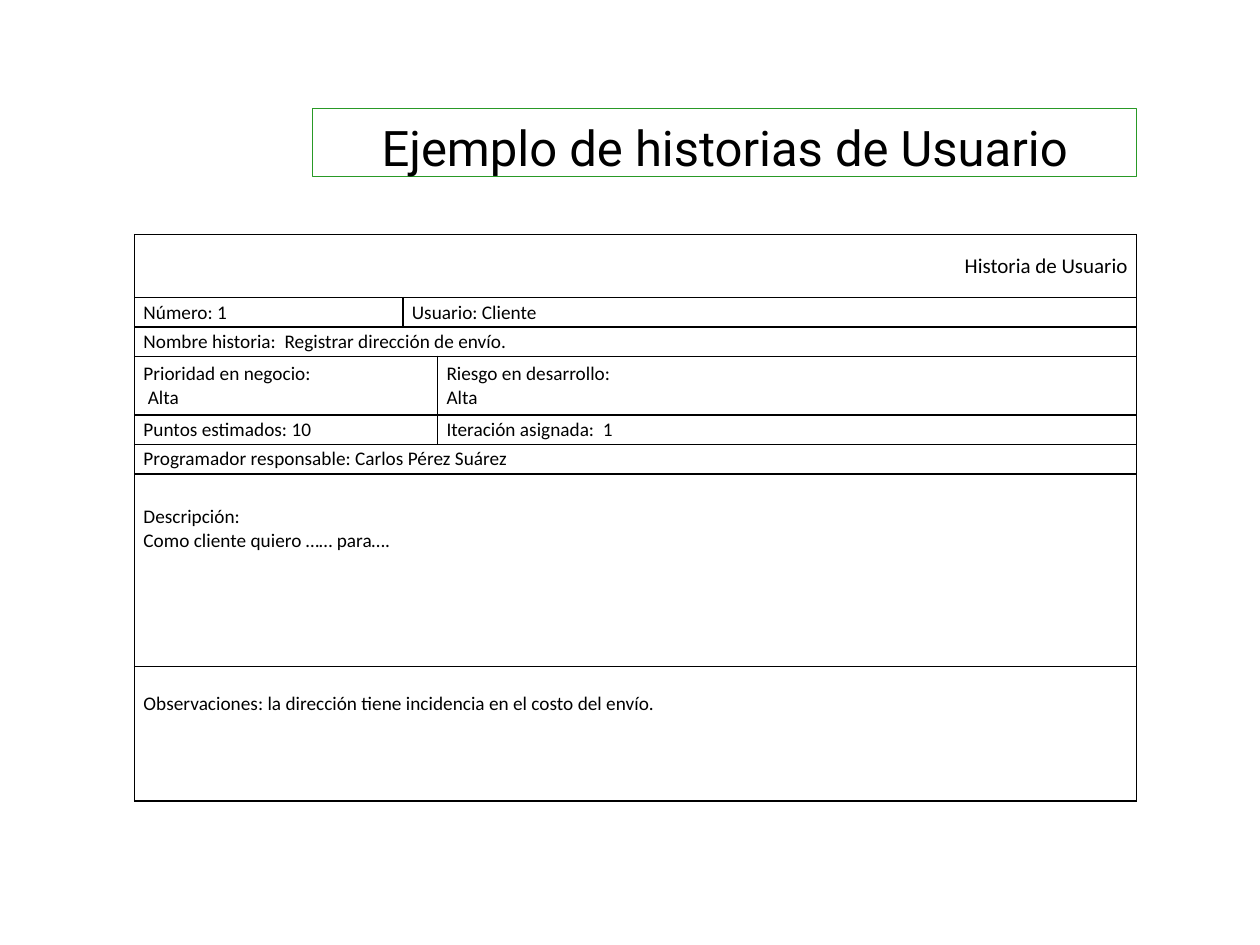
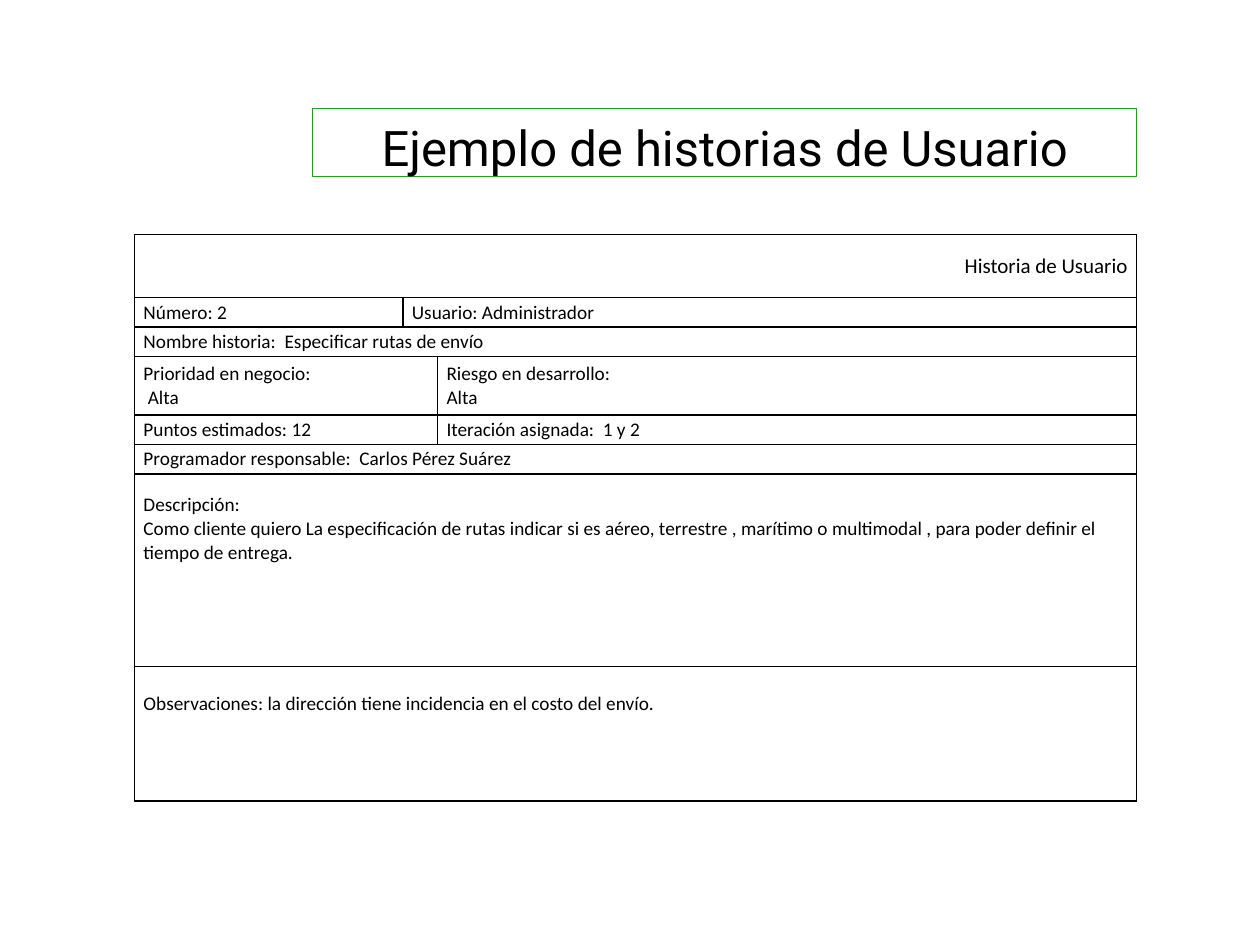
from dataclasses import dataclass

from lxml.etree import SubElement
from pptx import Presentation
from pptx.dml.color import RGBColor
from pptx.enum.shapes import MSO_SHAPE
from pptx.enum.text import MSO_ANCHOR, PP_ALIGN
from pptx.oxml.ns import qn
from pptx.util import Pt


@dataclass(frozen=True)
class Theme:
    ink: str = "000000"
    paper: str = "FFFFFF"
    frame: str = "299926"
    title_font: str = "Roboto"
    body_font: str = "Calibri"
    title_size: float = 28
    header_size: float = 12
    body_size: float = 11


@dataclass(frozen=True)
class Box:
    left: float
    top: float
    width: float
    height: float

    def lengths(self):
        return Pt(self.left), Pt(self.top), Pt(self.width), Pt(self.height)


@dataclass(frozen=True)
class Story:
    number: str
    user: str
    name: str
    points: str
    iteration: str
    programmer: str
    description: str
    description_gap: float


THEME = Theme()
TITLE_BOX = Box(178.6, 61.9, 470.9, 38.9)
CARD_BOX = Box(76.9, 134.1, 572.6, 323.6)
COLUMN_WIDTHS = (153.4, 19.8)
LINE_ROW = 16.8
ROW_HEIGHTS = (36, LINE_ROW, LINE_ROW, 2 * LINE_ROW, LINE_ROW, LINE_ROW, 110)
SIDE_MARGIN = 5.1
NOTES_GAP = 14.9

STORIES = (
    Story("1", "Cliente", " Registrar dirección de envío.", "10", " 1",
          "Carlos Pérez Suárez", "Como cliente quiero …… para….", 17.7),
    Story("2", "Administrador", " Especificar rutas de envío", "12", " 1 y 2",
          " Carlos Pérez Suárez",
          "Como cliente quiero La especificación de rutas indicar si es aéreo, "
          "terrestre , marítimo o multimodal , para poder definir el tiempo de entrega.",
          10.9),
)


def style(para, font_name, size, align):
    para.alignment = align
    para.font.name = font_name
    para.font.size = Pt(size)
    para.font.color.rgb = RGBColor.from_string(THEME.ink)


def add_title(page, box, text):
    banner = page.shapes.add_shape(MSO_SHAPE.RECTANGLE, *box.lengths())
    banner.shadow.inherit = False
    banner.fill.solid()
    banner.fill.fore_color.rgb = RGBColor.from_string(THEME.paper)
    banner.line.color.rgb = RGBColor.from_string(THEME.frame)
    banner.line.width = Pt(0.75)
    frame = banner.text_frame
    frame.word_wrap = False
    frame.vertical_anchor = MSO_ANCHOR.MIDDLE
    frame.margin_top, frame.margin_bottom = Pt(5.6), 0
    para = frame.paragraphs[0]
    para.text = text
    style(para, THEME.title_font, THEME.title_size, PP_ALIGN.CENTER)


def draw_borders(cell):
    properties = cell._tc.get_or_add_tcPr()
    for side in ("a:lnL", "a:lnR", "a:lnT", "a:lnB"):
        line = SubElement(properties, qn(side), w=str(Pt(1)))
        fill = SubElement(line, qn("a:solidFill"))
        SubElement(fill, qn("a:srgbClr"), val=THEME.ink)
    cell.fill.background()


def fill_cell(cell, lines, size, align, top_gap):
    cell.vertical_anchor = MSO_ANCHOR.TOP if top_gap else MSO_ANCHOR.MIDDLE
    cell.margin_top = Pt(top_gap)
    cell.text = "\n".join(lines)
    for para in cell.text_frame.paragraphs:
        style(para, THEME.body_font, size, align)


def card_fields(story):
    return (
        (0, 0, 2, ["Historia de Usuario"], 0),
        (1, 0, 0, [f"Número: {story.number}"], 0),
        (1, 1, 2, [f"Usuario: {story.user}"], 0),
        (2, 0, 2, [f"Nombre historia: {story.name}"], 0),
        (3, 0, 1, ["Prioridad en negocio:", " Alta"], 0),
        (3, 2, 2, ["Riesgo en desarrollo:", "Alta"], 0),
        (4, 0, 1, [f"Puntos estimados: {story.points}"], 0),
        (4, 2, 2, [f"Iteración asignada: {story.iteration}"], 0),
        (5, 0, 2, [f"Programador responsable: {story.programmer}"], 0),
        (6, 0, 2, ["Descripción:", story.description], story.description_gap),
        (7, 0, 2, ["Observaciones: la dirección tiene incidencia en el costo del envío."],
         NOTES_GAP),
    )


def add_card(page, box, story):
    heights = (*ROW_HEIGHTS, box.height - sum(ROW_HEIGHTS))
    widths = (*COLUMN_WIDTHS, box.width - sum(COLUMN_WIDTHS))
    table = page.shapes.add_table(len(heights), len(widths), *box.lengths()).table
    table.first_row = False
    table.horz_banding = False
    for row, height in zip(table.rows, heights):
        row.height = Pt(height)
    for column, width in zip(table.columns, widths):
        column.width = Pt(width)
    for cell in table.iter_cells():
        draw_borders(cell)
        cell.margin_left = cell.margin_right = Pt(SIDE_MARGIN)
        cell.margin_top = cell.margin_bottom = 0
    for row, first, last, lines, top_gap in card_fields(story):
        cell = table.cell(row, first)
        if last > first:
            cell.merge(table.cell(row, last))
        size = THEME.body_size if row else THEME.header_size
        align = PP_ALIGN.LEFT if row else PP_ALIGN.RIGHT
        fill_cell(cell, lines, size, align, top_gap)


def add_story_page(deck, story):
    page = deck.slides.add_slide(deck.slide_layouts[6])
    add_title(page, TITLE_BOX, "Ejemplo de historias de Usuario")
    add_card(page, CARD_BOX, story)


def main():
    deck = Presentation()
    deck.slide_width, deck.slide_height = Pt(720), Pt(540)
    for story in STORIES:
        add_story_page(deck, story)
    deck.save("out.pptx")


if __name__ == "__main__":
    main()
